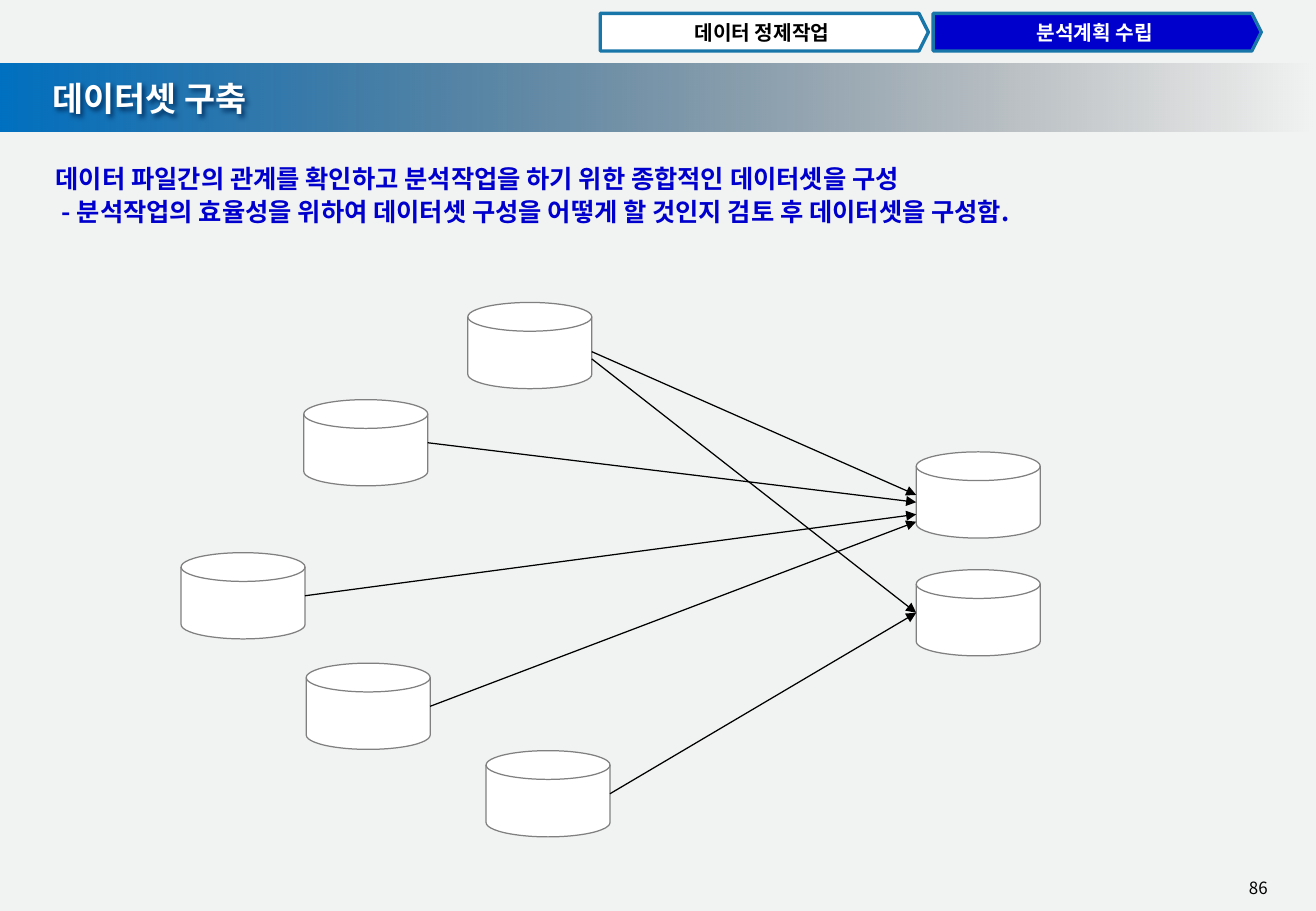
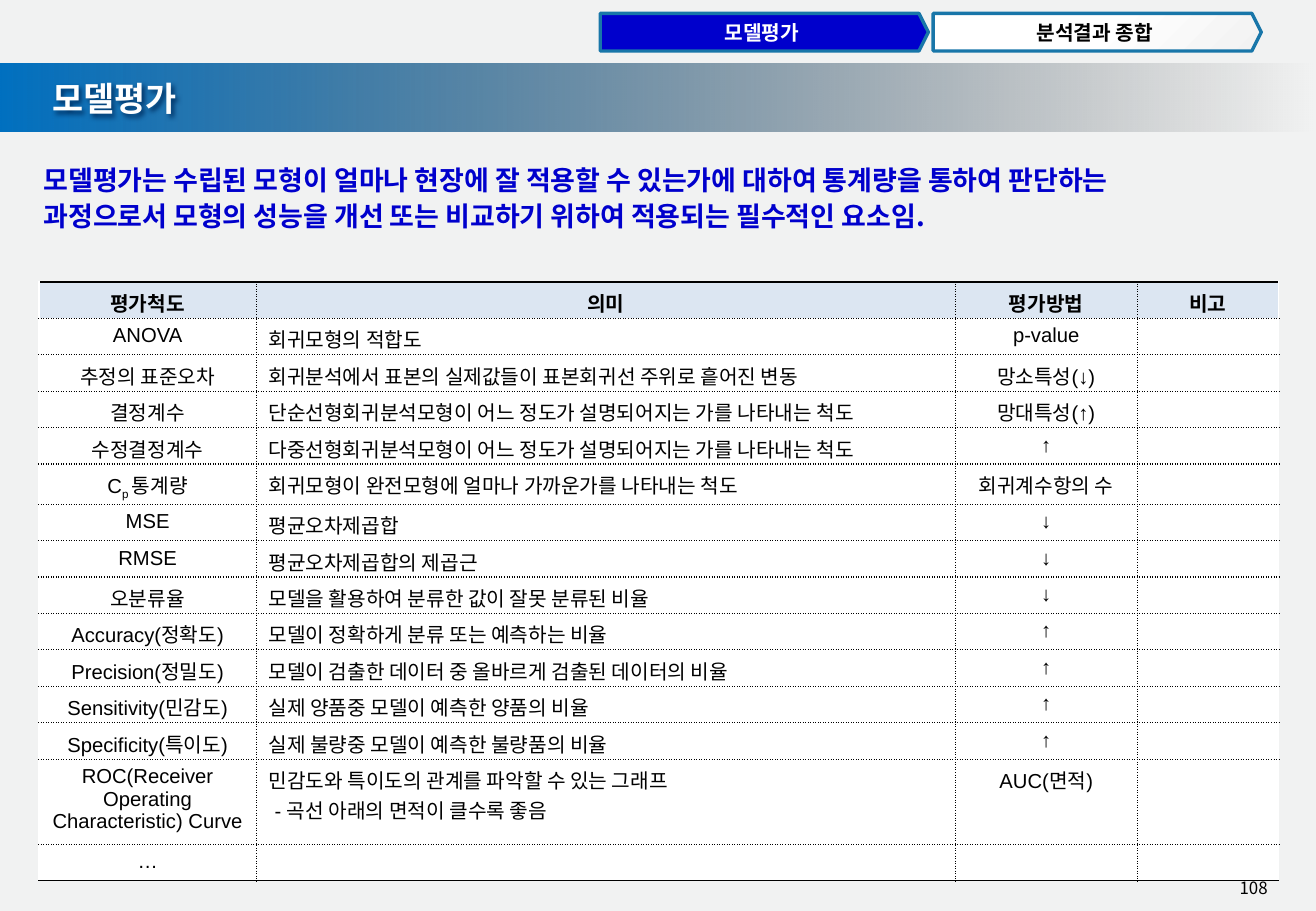
from lxml.etree import SubElement
from pptx import Presentation
from pptx.dml.color import RGBColor
from pptx.enum.shapes import MSO_CONNECTOR, MSO_SHAPE
from pptx.enum.text import MSO_ANCHOR, PP_ALIGN
from pptx.oxml.ns import qn
from pptx.util import Inches, Pt

RECT, TAB = MSO_SHAPE.RECTANGLE, MSO_SHAPE.PENTAGON
DISK = MSO_SHAPE.FLOWCHART_MAGNETIC_DISK
LINE = MSO_CONNECTOR.STRAIGHT
MID = MSO_ANCHOR.MIDDLE
LEFT, CENTER = PP_ALIGN.LEFT, PP_ALIGN.CENTER
RIGHT, FULL = PP_ALIGN.RIGHT, PP_ALIGN.JUSTIFY

KOREAN = "Noto Sans CJK KR"
WHITE, BLACK, BLUE = "FFFFFF", "000000", "0000CC"
SKY, EDGE, GRAY = "0070C0", "1876A9", "808080"
PAPER, HEAD = "F1F2F2", "DCE6F2"


def hue(code):
    return RGBColor.from_string(code)


def write(frame, text, size=12, color=BLACK, bold=False, font=KOREAN,
          align=LEFT, space=None, pad=0, dash=0):
    """Fill a frame, one paragraph a line; text between underscores is subscript.

    pad indents every line, dash indents lines that start with a hyphen.
    """
    frame.word_wrap = True
    for i, line in enumerate(text.split("\n")):
        para = frame.add_paragraph() if i else frame.paragraphs[0]
        para.alignment = align
        para.line_spacing = space
        left = pad + (dash if line.startswith("-") else 0)
        if left:
            para._p.get_or_add_pPr().set("marL", str(Inches(left)))
        if not line:
            SubElement(para._p, qn("a:endParaRPr"), sz=str(size * 100))
            continue
        for j, part in enumerate(line.split("_")):
            run = para.add_run()
            run.text = part
            run.font.size, run.font.bold = Pt(size), bold
            run.font.name = font
            run.font.color.rgb = hue(color)
            props = run.font._element
            SubElement(props, qn("a:ea"), typeface=KOREAN)
            if j % 2:
                props.set("baseline", "-25000")


prs = Presentation()
prs.slide_width, prs.slide_height = Inches(10.83), Inches(7.5)
back = prs.slide_master.background.fill
back.solid()
back.fore_color.rgb = hue(PAPER)

# Shared frame: title, band, tabs, lead text and page number
ON, OFF, FADE = (BLUE, WHITE), (WHITE, BLACK), (None, BLACK)
PAGES = [
    dict(title="데이터셋 구축", num="86", size=15, align=LEFT, pad=0.1,
         tabs=[("데이터 정제작업", OFF), ("분석계획 수립", ON)],
         lead="데이터 파일간의 관계를 확인하고 분석작업을 하기 위한 종합적인 데이터셋을 구성\n"
              "- 분석작업의 효율성을 위하여 데이터셋 구성을 어떻게 할 것인지 검토 후 데이터셋을 구성함."),
    dict(title="모델평가", num="108", size=16, align=FULL, pad=0,
         tabs=[("모델평가", ON), ("분석결과 종합", FADE)],
         lead="모델평가는 수립된 모형이 얼마나 현장에 잘 적용할 수 있는가에 대하여 통계량을 통하여 판단하는\n"
              "과정으로서 모형의 성능을 개선 또는 비교하기 위하여 적용되는 필수적인 요소임."),
]

slides = []
for page in PAGES:
    slide = prs.slides.add_slide(prs.slide_layouts[5])
    slides.append(slide)
    shapes = slide.shapes

    title = shapes.title
    title.left, title.top = Inches(0.33), Inches(0.59)
    title.width, title.height = Inches(4.81), Inches(0.44)
    title.text_frame.vertical_anchor = MID
    write(title.text_frame, page["title"], size=20, color=WHITE, bold=True)
    glow = SubElement(title.element.spPr, qn("a:effectLst"))
    cast = SubElement(glow, qn("a:outerShdw"), blurRad="38100", dist="25400",
                      dir="2700000", algn="tl", rotWithShape="0")
    SubElement(cast, qn("a:srgbClr"), val="003366")

    band = shapes.add_shape(RECT, 0, Inches(0.52), prs.slide_width, Inches(0.56))
    band.shadow.inherit = False
    band.line.fill.background()
    band.fill.gradient()
    band.fill.gradient_angle = 0
    for stop, code in zip(band.fill.gradient_stops, (SKY, BLACK)):
        stop.color.rgb = hue(code)
    clear = list(band.element.spPr.iter(qn("a:srgbClr")))[-1]
    SubElement(clear, qn("a:alpha"), val="0")
    title.element.addprevious(band.element)

    for i, (text, (fill, ink)) in enumerate(page["tabs"]):
        tab = shapes.add_shape(TAB, Inches(4.94 + 2.74 * i), Inches(0.11),
                               Inches(2.7), Inches(0.31))
        tab.shadow.inherit = False
        tab.adjustments[0] = 0.25
        tab.line.color.rgb, tab.line.width = hue(EDGE), Pt(2)
        if fill:
            tab.fill.solid()
            tab.fill.fore_color.rgb = hue(fill)
        else:
            tab.fill.gradient()
            tab.fill.gradient_angle = 315
            first, last = tab.fill.gradient_stops
            first.position = 0.5
            first.color.rgb, last.color.rgb = hue(WHITE), hue("F2F2F2")
        frame = tab.text_frame
        frame.margin_left = frame.margin_right = 0
        frame.vertical_anchor = MID
        write(frame, text, color=ink, bold=True, align=CENTER)

    lead = shapes.add_textbox(Inches(0.26), Inches(1.27), Inches(10.51), Inches(0.75))
    write(lead.text_frame, page["lead"], size=page["size"], color=BLUE, bold=True,
          align=page["align"], space=1.1, pad=page["pad"], dash=0.05)

    num = shapes.add_textbox(Inches(9.98), Inches(7.18), Inches(0.55), Inches(0.27))
    write(num.text_frame, page["num"], size=10, align=RIGHT)

flow, grid = slides

# Data files feeding two data sets
WIDE, TALL = 1.02, 0.71
FILES = [(3.85, 2.49), (2.5, 3.29), (1.49, 4.55), (2.52, 5.46), (4, 6.18)]
SETS = [(7.54, 3.72), (7.54, 4.69)]
for x, y in FILES + SETS:
    disk = flow.shapes.add_shape(DISK, Inches(x), Inches(y), Inches(WIDE), Inches(TALL))
    disk.shadow.inherit = False
    disk.fill.solid()
    disk.fill.fore_color.rgb = hue(WHITE)
    disk.line.color.rgb, disk.line.width = hue(GRAY), Pt(0.75)

# File, set, and shifts from the middle of each side
LINKS = [(0, 0, 0.05, 0), (1, 0, 0, 0.06), (0, 1, 0.11, 0),
         (2, 0, 0, 0.16), (3, 0, 0, 0.22), (4, 1, 0, 0)]
for src, dst, out, into in LINKS:
    (x1, y1), (x2, y2) = FILES[src], SETS[dst]
    link = flow.shapes.add_connector(
        LINE, Inches(x1 + WIDE), Inches(y1 + TALL / 2 + out),
        Inches(x2), Inches(y2 + TALL / 2 + into))
    link.line.color.rgb, link.line.width = hue(BLACK), Pt(0.75)
    SubElement(link.line._get_or_add_ln(), qn("a:tailEnd"), type="triangle")
    SubElement(link.element.spPr, qn("a:effectLst"))

# Table of evaluation measures
ROWS = [
    ("평가척도", "의미", "평가방법", "비고"),
    ("ANOVA", "회귀모형의 적합도", "p-value", ""),
    ("추정의 표준오차", "회귀분석에서 표본의 실제값들이 표본회귀선 주위로 흩어진 변동", "망소특성(↓)", ""),
    ("결정계수", "단순선형회귀분석모형이 어느 정도가 설명되어지는 가를 나타내는 척도", "망대특성(↑)", ""),
    ("수정결정계수", "다중선형회귀분석모형이 어느 정도가 설명되어지는 가를 나타내는 척도", "↑", ""),
    ("C_p _통계량", "회귀모형이 완전모형에 얼마나 가까운가를 나타내는 척도", "회귀계수항의 수", ""),
    ("MSE", "평균오차제곱합", "↓", ""),
    ("RMSE", "평균오차제곱합의 제곱근", "↓", ""),
    ("오분류율", "모델을 활용하여 분류한 값이 잘못 분류된 비율", "↓", ""),
    ("Accuracy(정확도)", "모델이 정확하게 분류 또는 예측하는 비율", "↑", ""),
    ("Precision(정밀도)", "모델이 검출한 데이터 중 올바르게 검출된 데이터의 비율", "↑", ""),
    ("Sensitivity(민감도)", "실제 양품중 모델이 예측한 양품의 비율", "↑", ""),
    ("Specificity(특이도)", "실제 불량중 모델이 예측한 불량품의 비율", "↑", ""),
    ("ROC(Receiver Operating Characteristic) Curve",
     "민감도와 특이도의 관계를 파악할 수 있는 그래프\n- 곡선 아래의 면적이 클수록 좋음", "AUC(면적)", ""),
    ("…", "", "", ""),
]
COLS = [1.79, 5.75, 1.5, 1.16]
HIGH = [0.3] * 5 + [0.33] + [0.3] * 7 + [0.7, 0.3]

table = grid.shapes.add_table(len(ROWS), len(COLS), Inches(0.32), Inches(2.32),
                              Inches(sum(COLS)), Inches(sum(HIGH))).table
table.first_row = table.horz_banding = False
for col, size in zip(table.columns, COLS):
    col.width = Inches(size)
for row, size in zip(table.rows, HIGH):
    row.height = Inches(size)

for r, texts in enumerate(ROWS):
    for c, text in enumerate(texts):
        cell = table.cell(r, c)
        cell.margin_top, cell.margin_bottom = Inches(0.05), 0
        cell.fill.solid()
        cell.fill.fore_color.rgb = hue(WHITE if r else HEAD)
        write(cell.text_frame, text, bold=r == 0, font="Arial", dash=0.05,
              align=LEFT if r and c == 1 else CENTER)
        props = cell._tc.get_or_add_tcPr()
        sides = [("a:lnL", c == 0, WHITE), ("a:lnR", c == len(COLS) - 1, WHITE),
                 ("a:lnT", r == 0, BLACK), ("a:lnB", r == len(ROWS) - 1, BLACK)]
        for k, (tag, outer, code) in enumerate(sides):
            edge = SubElement(props, qn(tag), w=str(Pt(1 if outer else 0.75)))
            paint = SubElement(edge, qn("a:solidFill"))
            SubElement(paint, qn("a:srgbClr"), val=code if outer else BLACK)
            SubElement(edge, qn("a:prstDash"), val="solid" if outer else "sysDot")
            props.insert(k, edge)

prs.save("out.pptx")
